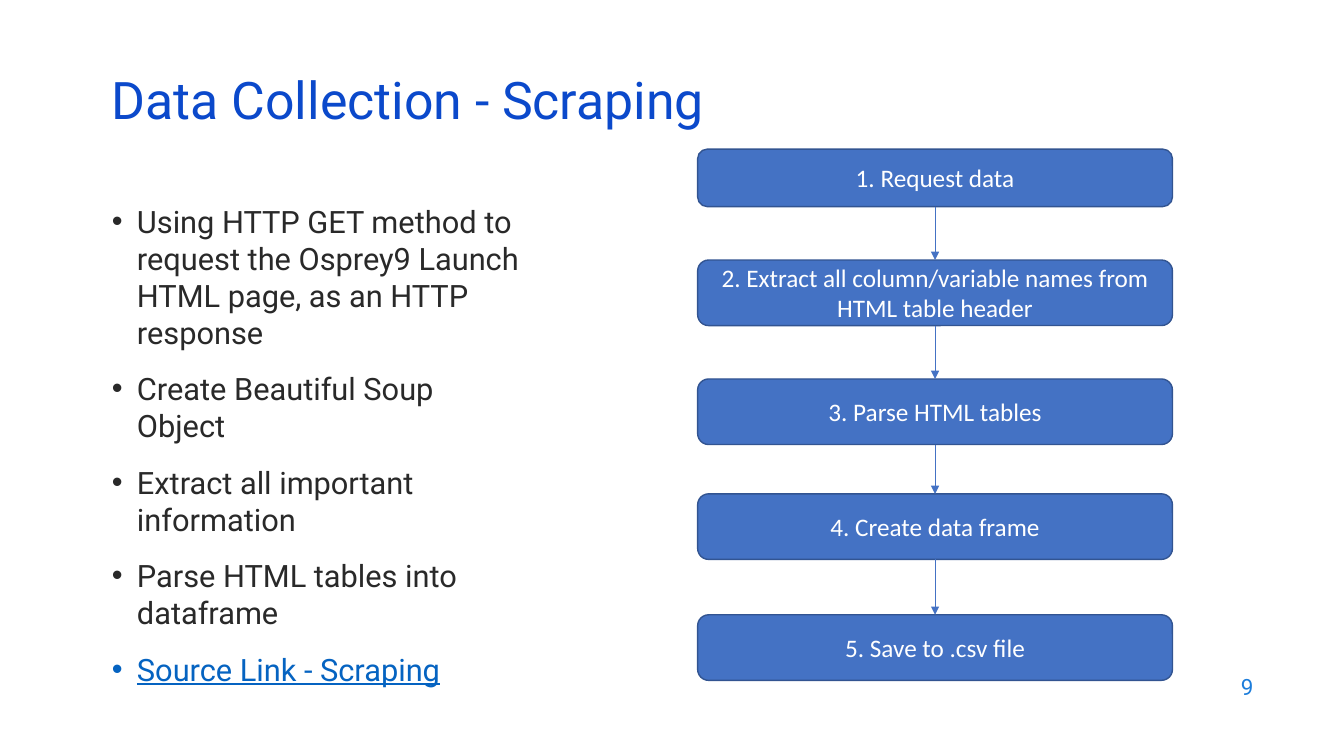
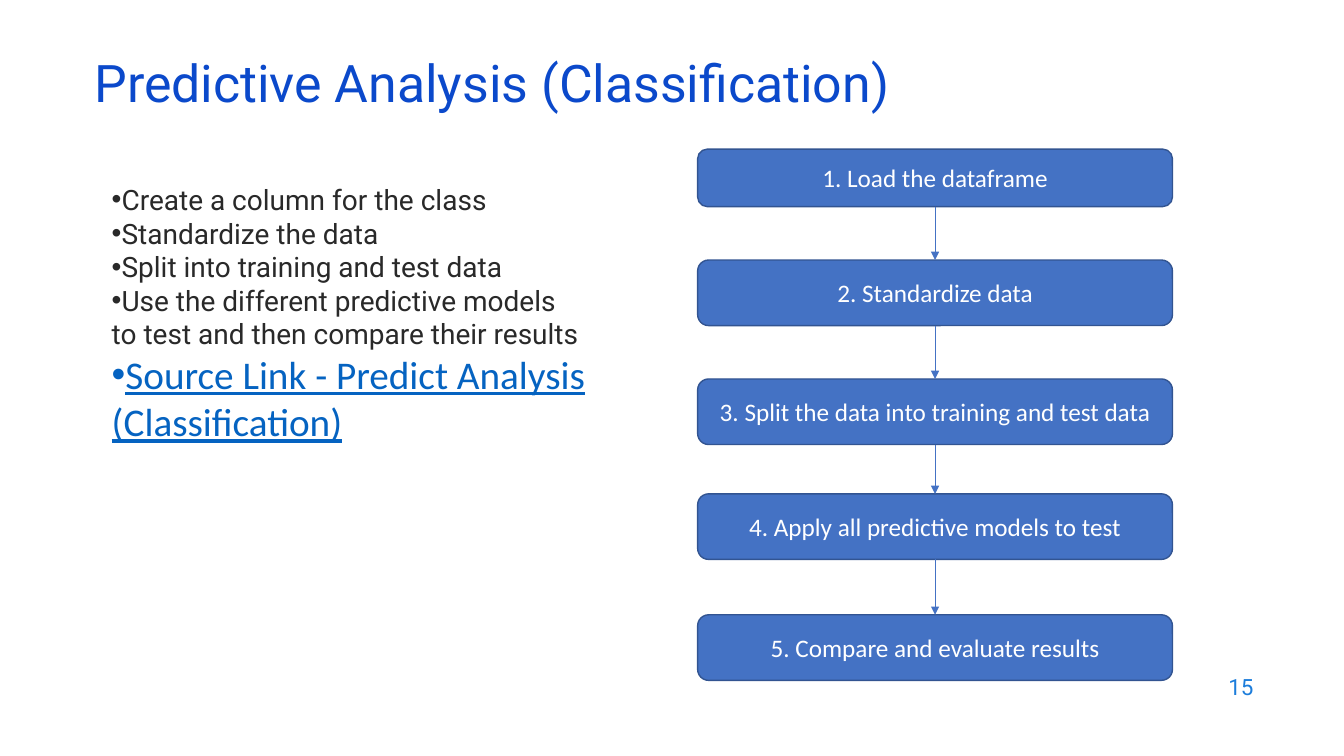
from dataclasses import dataclass
from itertools import pairwise

from lxml.etree import SubElement
from pptx import Presentation
from pptx.dml.color import RGBColor
from pptx.enum.shapes import MSO_CONNECTOR as CONN, MSO_SHAPE as SHAPE
from pptx.enum.text import MSO_ANCHOR as ANCHOR, PP_ALIGN as ALIGN
from pptx.oxml.ns import qn
from pptx.util import Emu, Inches, Pt

SLIDE_W, SLIDE_H = Inches(13.33), Inches(7.5)

TITLE_BLUE = RGBColor(0x0B, 0x49, 0xCB)
NUMBER_BLUE = RGBColor(0x1C, 0x7D, 0xDB)
TEXT_DARK = RGBColor(0x29, 0x29, 0x29)
LINK_BLUE = RGBColor(0x05, 0x63, 0xC1)
STEP_FILL = RGBColor(0x44, 0x72, 0xC4)
STEP_EDGE = RGBColor(0x32, 0x54, 0x91)
WHITE = RGBColor(0xFF, 0xFF, 0xFF)

HEAD_FONT, STEP_FONT = "Roboto", "Calibri"
BOTTOM_SITE, TOP_SITE = 2, 0


@dataclass(frozen=True)
class Box:
    """Position and size in percent of the slide."""
    left: float
    top: float
    width: float
    height: float

    def emu(self) -> tuple[Emu, Emu, Emu, Emu]:
        return (Emu(round(SLIDE_W * self.left / 100)),
                Emu(round(SLIDE_H * self.top / 100)),
                Emu(round(SLIDE_W * self.width / 100)),
                Emu(round(SLIDE_H * self.height / 100)))


@dataclass(frozen=True)
class Style:
    font: str
    size: float
    color: RGBColor
    underline: bool = False


@dataclass(frozen=True)
class BulletList:
    box: Box
    items: list[str]
    style: Style
    link: str
    link_style: Style
    indent: float
    gap: float


@dataclass(frozen=True)
class FlowSlide:
    number: int
    title: str
    title_box: Box
    bullets: BulletList
    steps: list[str]


TITLE = Style(HEAD_FONT, 37, TITLE_BLUE)
NUMBER = Style(HEAD_FONT, 16, NUMBER_BLUE)
STEP = Style(STEP_FONT, 18, WHITE)
NUMBER_BOX = Box(71.49, 87.87, 22.51, 5.87)
STEP_BOXES = [Box(51.91, top, 35.33, height) for top, height in
              [(19.73, 7.6), (34.4, 8.67), (50.13, 8.67), (65.33, 8.67), (81.33, 8.67)]]

SLIDES = [
    FlowSlide(
        9, "Data Collection - Scraping", Box(7.58, 10.13, 86.27, 8),
        BulletList(
            Box(7.58, 26.13, 32.26, 55.6),
            ["Using HTTP GET method to request the Osprey9 Launch HTML page, as an HTTP response",
             "Create Beautiful Soup Object",
             "Extract all important information",
             "Parse HTML tables into dataframe"],
            Style(HEAD_FONT, 22, TEXT_DARK),
            "Source Link - Scraping", Style(HEAD_FONT, 22, LINK_BLUE, True),
            indent=0.25, gap=14),
        ["Request data",
         "Extract all column/variable names from HTML table header",
         "Parse HTML tables",
         "Create data frame",
         "Save to .csv file"]),
    FlowSlide(
        15, "Predictive Analysis (Classification)", Box(6.3, 7.87, 86.27, 8),
        BulletList(
            Box(7.58, 23.47, 36.76, 63.47),
            ["Create a column for the class",
             "Standardize the data",
             "Split into training and test data",
             "Use the different predictive models to test and then compare their results"],
            Style(HEAD_FONT, 20, TEXT_DARK),
            "Source Link - Predict Analysis (Classification)",
            Style(STEP_FONT, 28, LINK_BLUE, True),
            indent=0, gap=0),
        ["Load the dataframe",
         "Standardize data",
         "Split the data into training and test data",
         "Apply all predictive models to test",
         "Compare and evaluate results"]),
]


def write(p, text: str, style: Style) -> None:
    p.text = text
    for r in p.runs:
        r.font.name = style.font
        r.font.size = Pt(style.size)
        r.font.color.rgb = style.color
        if style.underline:
            r.font.underline = True


def add_text(slide, box: Box, anchor=ANCHOR.MIDDLE):
    tf = slide.shapes.add_textbox(*box.emu()).text_frame
    tf.word_wrap = True
    tf.vertical_anchor = anchor
    return tf


def add_title(slide, text: str, box: Box) -> None:
    p = add_text(slide, box).paragraphs[0]
    p.line_spacing = 0.7
    write(p, text, TITLE)


def add_number(slide, number: int) -> None:
    p = add_text(slide, NUMBER_BOX).paragraphs[0]
    p.alignment = ALIGN.RIGHT
    write(p, str(number), NUMBER)


def set_bullet(p, indent: float) -> None:
    pPr = p._p.get_or_add_pPr()
    pPr.set("marL", str(Inches(indent)))
    pPr.set("indent", str(-Inches(indent)))
    SubElement(pPr, qn("a:buFont"), typeface="Arial")
    SubElement(pPr, qn("a:buChar"), char="•")


def add_bullets(slide, bullets: BulletList) -> None:
    tf = add_text(slide, bullets.box, ANCHOR.TOP)
    entries = [(item, bullets.style) for item in bullets.items]
    entries.append((bullets.link, bullets.link_style))
    for i, (text, style) in enumerate(entries):
        p = tf.add_paragraph() if i else tf.paragraphs[0]
        set_bullet(p, bullets.indent)
        if i and bullets.gap:
            p.space_before = Pt(bullets.gap)
        write(p, text, style)


def add_step(slide, box: Box, text: str):
    sp = slide.shapes.add_shape(SHAPE.ROUNDED_RECTANGLE, *box.emu())
    sp.shadow.inherit = False
    sp.fill.solid()
    sp.fill.fore_color.rgb = STEP_FILL
    sp.line.color.rgb = STEP_EDGE
    sp.line.width = Pt(1)
    tf = sp.text_frame
    tf.word_wrap = True
    tf.vertical_anchor = ANCHOR.MIDDLE
    p = tf.paragraphs[0]
    p.alignment = ALIGN.CENTER
    write(p, text, STEP)
    return sp


def add_arrow(slide, upper, lower) -> None:
    arrow = slide.shapes.add_connector(CONN.STRAIGHT, 0, 0, 0, 0)
    arrow.begin_connect(upper, BOTTOM_SITE)
    arrow.end_connect(lower, TOP_SITE)
    arrow.line.color.rgb = STEP_FILL
    arrow.line.width = Pt(0.5)
    SubElement(arrow.line._get_or_add_ln(), qn("a:tailEnd"), type="triangle")
    SubElement(arrow._element.spPr, qn("a:effectLst"))


def add_flow(slide, steps: list[str]) -> None:
    shapes = [add_step(slide, box, f"{n}. {text}")
              for n, (box, text) in enumerate(zip(STEP_BOXES, steps), 1)]
    for upper, lower in pairwise(shapes):
        add_arrow(slide, upper, lower)


def main() -> None:
    prs = Presentation()
    prs.slide_width, prs.slide_height = SLIDE_W, SLIDE_H
    for content in SLIDES:
        slide = prs.slides.add_slide(prs.slide_layouts[6])
        add_number(slide, content.number)
        add_bullets(slide, content.bullets)
        add_title(slide, content.title, content.title_box)
        add_flow(slide, content.steps)
    prs.save("out.pptx")


if __name__ == "__main__":
    main()
